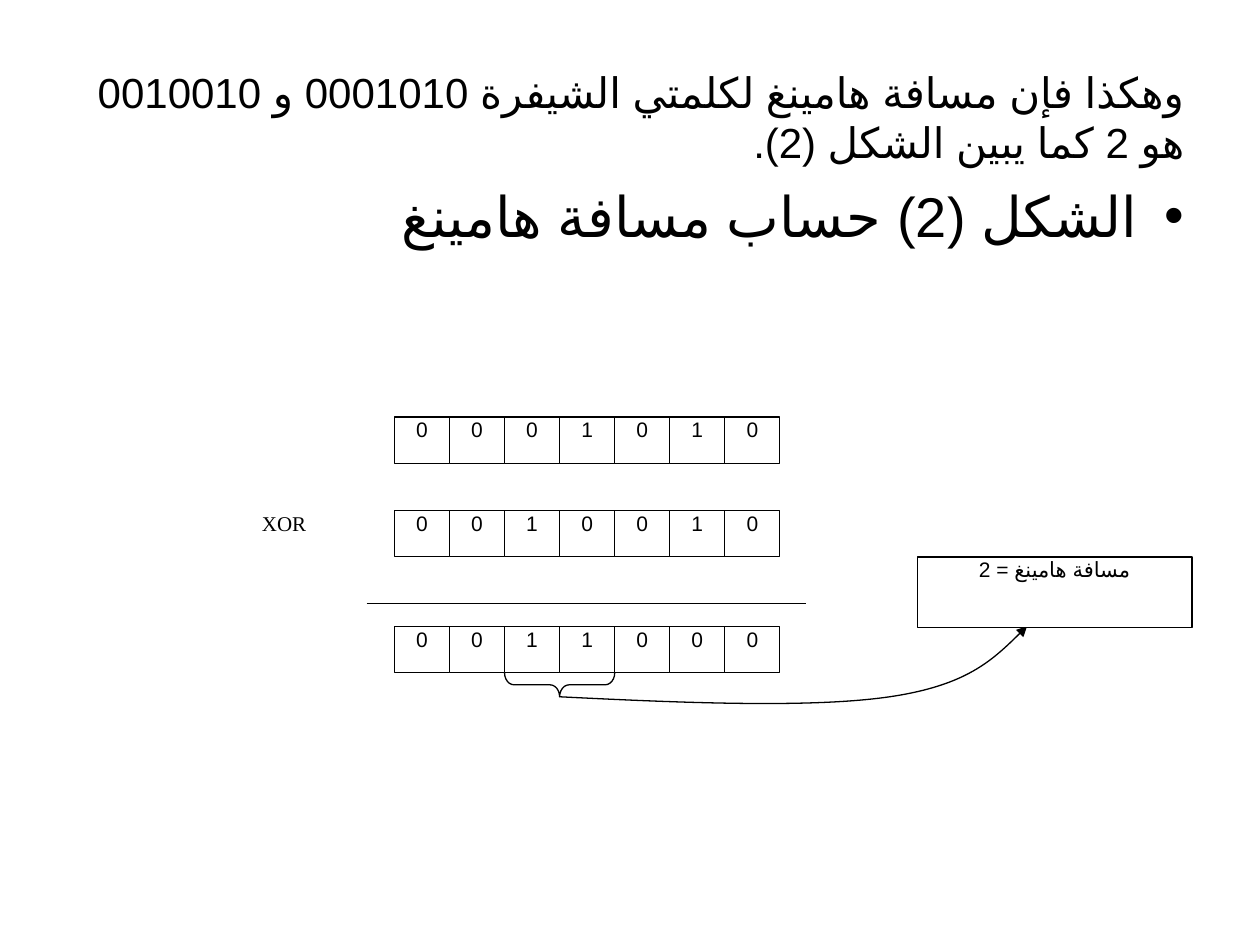
from lxml import etree
from pptx import Presentation
from pptx.dml.color import RGBColor
from pptx.enum.lang import MSO_LANGUAGE_ID
from pptx.enum.shapes import MSO_CONNECTOR, MSO_SHAPE
from pptx.enum.text import MSO_ANCHOR, MSO_AUTO_SIZE, PP_ALIGN
from pptx.oxml.ns import qn
from pptx.util import Inches, Pt

BLACK = RGBColor(0x00, 0x00, 0x00)
WHITE = RGBColor(0xFF, 0xFF, 0xFF)
ARABIC = MSO_LANGUAGE_ID.ARABIC
RECTANGLE, LEFT_BRACE = MSO_SHAPE.RECTANGLE, MSO_SHAPE.LEFT_BRACE
STRAIGHT = MSO_CONNECTOR.STRAIGHT
TOP, MIDDLE = MSO_ANCHOR.TOP, MSO_ANCHOR.MIDDLE
RIGHT, CENTER = PP_ALIGN.RIGHT, PP_ALIGN.CENTER
NO_AUTOFIT = MSO_AUTO_SIZE.NONE

HEADING_FRAME = {"word_wrap": True, "auto_size": NO_AUTOFIT,
                 "margin_left": Inches(0.1), "margin_right": Inches(0.1),
                 "margin_top": Inches(0.05), "margin_bottom": Inches(0.05)}
CELL_FRAME = {"word_wrap": True, "auto_size": NO_AUTOFIT, "vertical_anchor": TOP,
              "margin_left": Inches(0.02), "margin_right": Inches(0.02),
              "margin_top": 0, "margin_bottom": Inches(0.04)}

CODE_ROWS = [("0001010", 0), ("0010010", 0.74), ("0011000", 1.66)]
CELL_WIDTH, CELL_HEIGHT = 3.06 / 7, 0.37
LINE_WIDTH = Pt(0.75)


def apply(target, values):
    for attribute, value in values.items():
        setattr(target, attribute, value)


def place(part, box):
    apply(part, dict(zip(("left", "top", "width", "height"), map(Inches, box))))


def write_rtl(part, text, frame_format, align, size, latin="Arial"):
    frame = part.text_frame
    apply(frame, frame_format)
    paragraph = frame.paragraphs[0]
    apply(paragraph, {"alignment": align, "space_before": Pt(0)})
    paragraph._p.get_or_add_pPr().set("rtl", "1")
    run = paragraph.add_run()
    run.text = text
    apply(run.font, {"size": Pt(size), "name": latin, "language_id": ARABIC})
    run.font.color.rgb = BLACK
    etree.SubElement(run._r.get_or_add_rPr(), qn("a:cs"), typeface="Arial")


def outline(part):
    part.shadow.inherit = False
    part.line.color.rgb = BLACK
    part.line.width = LINE_WIDTH


def add_cell(shapes, box, text):
    cell = shapes.add_shape(RECTANGLE, *map(Inches, box))
    outline(cell)
    cell.fill.solid()
    cell.fill.fore_color.rgb = WHITE
    write_rtl(cell, text, CELL_FRAME, CENTER, 12, "Times New Roman")


def add_code_word(shapes, left, top, bits):
    for column, bit in enumerate(bits):
        add_cell(shapes, (left + column * CELL_WIDTH, top, CELL_WIDTH, CELL_HEIGHT), bit)


def add_sum_line(shapes, left, top, width):
    sum_line = shapes.add_connector(STRAIGHT, Inches(left), Inches(top),
                                    Inches(left + width), Inches(top))
    sum_line.line.color.rgb = BLACK
    sum_line.line.width = LINE_WIDTH
    etree.SubElement(sum_line._element.spPr, qn("a:effectLst"))


def add_brace_below(shapes, left, top, width, depth):
    brace = shapes.add_shape(LEFT_BRACE, Inches(left + (width - depth) / 2),
                             Inches(top + (depth - width) / 2),
                             Inches(depth), Inches(width))
    brace.rotation = 270
    brace.adjustments[0] = 0.4
    brace.fill.background()
    outline(brace)


def add_curved_arrow(shapes, start, controls):
    builder = shapes.build_freeform(*map(Inches, start), scale=1.0)
    builder.add_line_segments([tuple(map(Inches, point)) for point in controls], close=False)
    arrow = builder.convert_to_shape()
    arrow.fill.background()
    outline(arrow)
    segments = list(arrow._element.iter(qn("a:lnTo")))
    for first in range(0, len(segments), 3):
        curve = etree.SubElement(segments[first].getparent(), qn("a:cubicBezTo"))
        for segment in segments[first:first + 3]:
            curve.append(segment[0])
            segment.getparent().remove(segment)
    etree.SubElement(arrow.line._get_or_add_ln(), qn("a:tailEnd"), type="triangle")


def add_headings(slide, left, top, width):
    title, body = slide.shapes.title, slide.placeholders[1]
    place(title, (left, top, width, 1.25))
    write_rtl(title, "وهكذا فإن مسافة هامينغ لكلمتي الشيفرة 0001010 و 0010010 "
              "هو 2 كما يبين الشكل (2).", HEADING_FRAME, RIGHT, 24)
    title.text_frame.vertical_anchor = MIDDLE
    place(body, (left, top + 1.09, width, 5.91))
    write_rtl(body, "الشكل (2) حساب مسافة هامينغ", HEADING_FRAME, RIGHT, 32)


def add_hamming_diagram(slide, left, top):
    shapes = slide.shapes.add_group_shape().shapes
    words_left = left + 1.53
    for bits, offset in CODE_ROWS:
        add_code_word(shapes, words_left, top + offset, bits)
    add_sum_line(shapes, left + 1.31, top + 1.48, 3.49)

    operator = shapes.add_textbox(*map(Inches, (left, top + 0.74, 1.31, CELL_HEIGHT)))
    write_rtl(operator, "XOR", CELL_FRAME, CENTER, 12, "Times New Roman")

    brace_left, brace_top = words_left + 2 * CELL_WIDTH, top + 2.03
    add_brace_below(shapes, brace_left, brace_top, 2 * CELL_WIDTH, 0.19)
    tip_x, tip_y = brace_left + CELL_WIDTH, brace_top + 0.19
    bends = [(1, 0.05), (2, 0.09), (2.62, 0), (3.23, -0.09), (3.47, -0.32), (3.71, -0.56)]
    add_curved_arrow(shapes, (tip_x, tip_y), [(tip_x + x, tip_y + y) for x, y in bends])
    add_cell(shapes, (left + 5.68, top + 1.11, 2.18, 0.56), "مسافة هامينغ = 2")


def main():
    presentation = Presentation()
    presentation.slide_width, presentation.slide_height = Inches(10), Inches(7.5)
    slide = presentation.slides.add_slide(presentation.slide_layouts[1])
    add_headings(slide, 0.5, 0.3, 9)
    add_hamming_diagram(slide, 1.6, 3.31)
    presentation.save("out.pptx")


if __name__ == "__main__":
    main()
